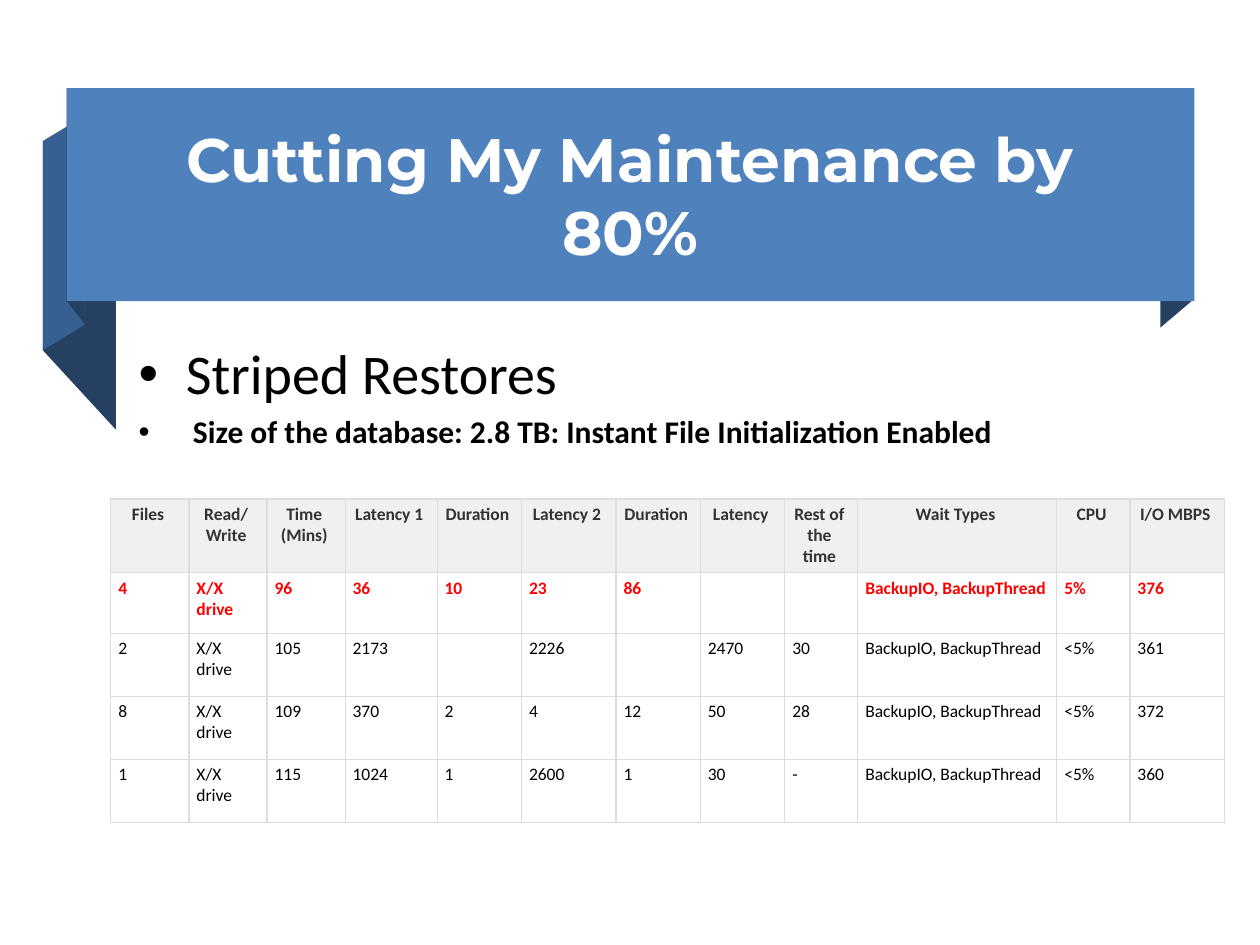
from lxml.etree import SubElement
from pptx import Presentation
from pptx.dml.color import RGBColor
from pptx.enum.text import MSO_ANCHOR, MSO_AUTO_SIZE, PP_ALIGN
from pptx.enum.shapes import MSO_SHAPE
from pptx.oxml.ns import qn
from pptx.util import Inches, Pt

COLORS = {
    "banner": "4F81BD", "fold": "376092", "shade": "254061",
    "white": "FFFFFF", "black": "000000", "red": "FF0000",
    "header": "F0F0F0", "header_text": "333333", "border": "DDDDDD",
}
TITLE = "Cutting My Maintenance by 80%"
BULLETS = [
    ("Striped Restores", 32, False),
    (" Size of the database:\u00a02.8 TB: Instant File Initialization Enabled", 18, True),
]
WAITS = "BackupIO, BackupThread"
DRIVE = "X/X drive"
HEADERS = ["Files", "Read/Write", "Time (Mins)", "Latency 1", "Duration", "Latency 2",
           "Duration", "Latency", "Rest of the time", "Wait Types", "CPU", "I/O MBPS"]
RESULTS = [
    ["4", DRIVE, "96", "36", "10", "23", "86", "", "", WAITS, "5%", "376"],
    ["2", DRIVE, "105", "2173", "", "2226", "", "2470", "30", WAITS, "<5%", "361"],
    ["8", DRIVE, "109", "370", "2", "4", "12", "50", "28", WAITS, "<5%", "372"],
    ["1", DRIVE, "115", "1024", "1", "2600", "1", "30", "-", WAITS, "<5%", "360"],
]
COLUMN_WIDTHS = [0.62, 0.62, 0.62, 0.73, 0.67, 0.75, 0.67, 0.67, 0.58, 1.58, 0.58, 0.75]
ROW_HEIGHTS = [0.58, 0.48, 0.5, 0.5, 0.5]
TABLE_LEFT, TABLE_TOP = 0.88, 3.96

BANNER = (0.53, 0.7, 8.95, 1.69)
RIBBON_FOLDS = [
    ("shade", [(0.92, 3.41), (0.34, 2.78), (0.34, 1.12), (0.92, 1.75)]),
    ("fold", [(0.67, 2.58), (0.34, 2.78), (0.34, 1.12), (0.67, 0.92)]),
    ("shade", [(0.67, 2.57), (0.53, 2.39), (0.53, 0.7), (0.67, 0.89)]),
    ("shade", [(9.47, 2.38), (9.21, 2.6), (9.21, 0.91), (9.47, 0.7)]),
]


def rgb(name):
    return RGBColor.from_string(COLORS[name])


def place(shape, *box):
    shape.left, shape.top, shape.width, shape.height = map(Inches, box)


def style_font(font, name, size, color, bold):
    font.name, font.size, font.bold = name, Pt(size), bold
    font.color.rgb = rgb(color)


def paint(shape, color):
    shape.shadow.inherit = False
    shape.fill.solid()
    shape.fill.fore_color.rgb = rgb(color)
    shape.line.fill.background()


def add_ribbon(page):
    for color, points in RIBBON_FOLDS:
        corners = [(Inches(x), Inches(y)) for x, y in points]
        builder = page.shapes.build_freeform(*corners[0])
        builder.add_line_segments(corners[1:], close=True)
        paint(builder.convert_to_shape(), color)
    banner = page.shapes.add_shape(MSO_SHAPE.RECTANGLE, *map(Inches, BANNER))
    paint(banner, "banner")


def fill_title(title):
    place(title, 0.79, 0.88, 8.42, 1.33)
    frame = title.text_frame
    frame.text = TITLE
    frame.auto_size = MSO_AUTO_SIZE.NONE
    frame.vertical_anchor = MSO_ANCHOR.MIDDLE
    para = frame.paragraphs[0]
    para.alignment = PP_ALIGN.CENTER
    style_font(para.font, "Montserrat", 35, "white", True)


def fill_body(body):
    place(body, 1, 2.64, 9, 4.95)
    frame = body.text_frame
    frame.text = "\n".join(text for text, _, _ in BULLETS)
    frame.auto_size = MSO_AUTO_SIZE.NONE
    for para, (_, size, bold) in zip(frame.paragraphs, BULLETS):
        style_font(para.font, "Calibri", size, "black", bold)


def set_borders(cell):
    properties = cell._tc.get_or_add_tcPr()
    for position, side in enumerate(("lnL", "lnR", "lnT", "lnB")):
        line = SubElement(properties, qn(f"a:{side}"), w=str(Pt(0.75)))
        fill = SubElement(line, qn("a:solidFill"))
        SubElement(fill, qn("a:srgbClr"), val=COLORS["border"])
        properties.insert(position, line)


def fill_cell(cell, text, row):
    is_header = row == 0
    cell.text = text
    cell.margin_left = Inches(0.06)
    cell.margin_right = Inches(0.09 if is_header else 0.06)
    cell.margin_top = cell.margin_bottom = Inches(0.04)
    if is_header:
        cell.fill.solid()
        cell.fill.fore_color.rgb = rgb("header")
    else:
        cell.fill.background()
    set_borders(cell)
    para = cell.text_frame.paragraphs[0]
    para.alignment = PP_ALIGN.CENTER if is_header else PP_ALIGN.LEFT
    color = {0: "header_text", 1: "red"}.get(row, "black")
    style_font(para.font, "Calibri", 10, color, row < 2)


def add_results(page):
    rows = [HEADERS, *RESULTS]
    frame = page.shapes.add_table(
        len(rows), len(HEADERS), Inches(TABLE_LEFT), Inches(TABLE_TOP),
        Inches(sum(COLUMN_WIDTHS)), Inches(sum(ROW_HEIGHTS)))
    table = frame.table
    table.horz_banding = table.first_row = False
    for column, width in zip(table.columns, COLUMN_WIDTHS):
        column.width = Inches(width)
    for row, height in zip(table.rows, ROW_HEIGHTS):
        row.height = Inches(height)
    for r, texts in enumerate(rows):
        for c, text in enumerate(texts):
            fill_cell(table.cell(r, c), text, r)


def main():
    deck = Presentation()
    deck.slide_width, deck.slide_height = Inches(10), Inches(7.5)
    page = deck.slides.add_slide(deck.slide_layouts[1])
    title, body = page.placeholders
    add_ribbon(page)
    page.shapes._spTree.append(title._element)  # bring the title above the banner
    add_results(page)
    page.shapes._spTree.append(body._element)
    fill_title(title)
    fill_body(body)
    deck.save("out.pptx")


if __name__ == "__main__":
    main()
